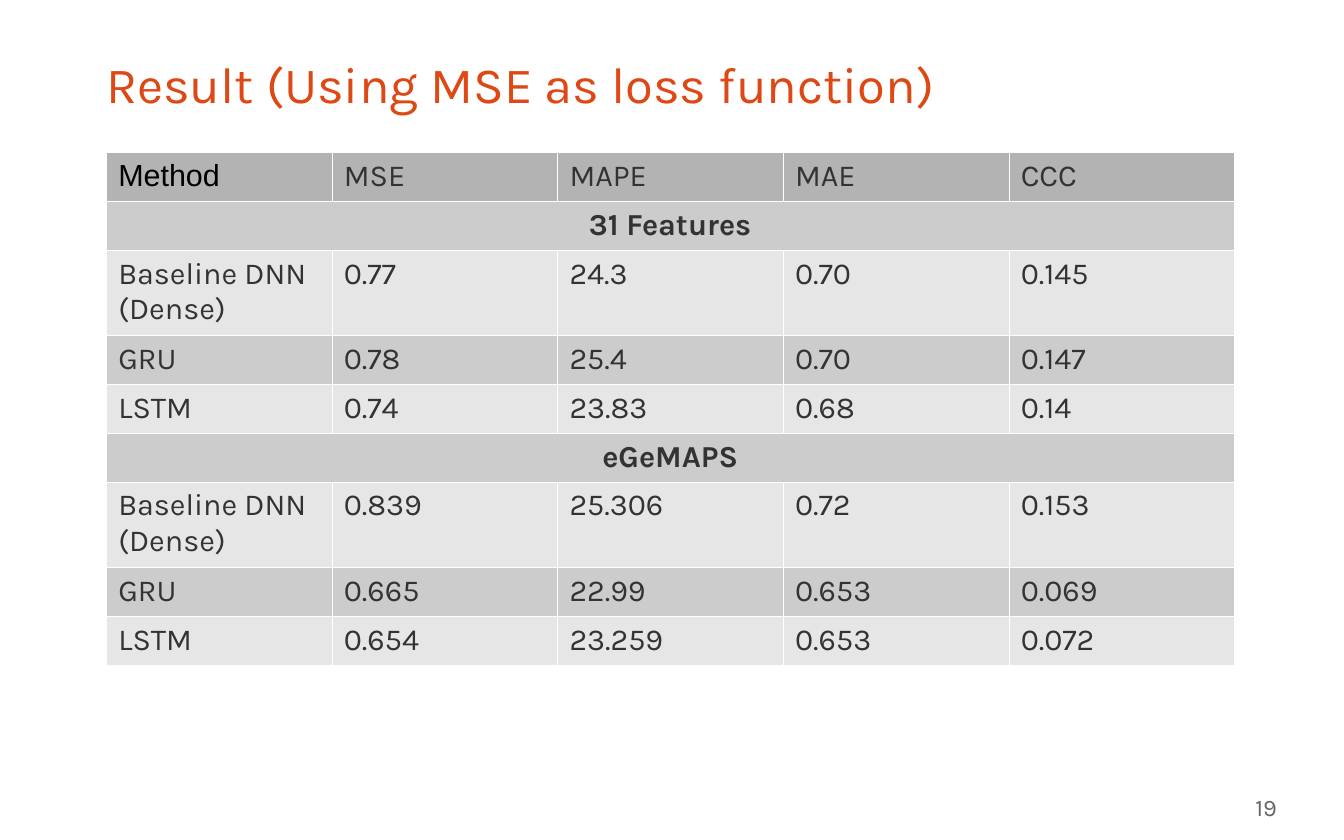
from lxml import etree
from pptx import Presentation
from pptx.dml.color import RGBColor
from pptx.enum import text
from pptx.oxml import ns
from pptx.util import Inches, Pt


def style(paragraph, size, color, font="Karla", bold=False, align=text.PP_ALIGN.LEFT):
    paragraph.alignment = align
    for run in paragraph.runs:
        run.font.size = Pt(size)
        run.font.name = font
        run.font.bold = bold
        run.font.color.rgb = RGBColor.from_string(color)


def add_label(words, left, top, width, height, anchor):
    frame = slide.shapes.add_textbox(
        Inches(left), Inches(top), Inches(width), Inches(height)).text_frame
    frame.word_wrap = True
    frame.vertical_anchor = anchor
    frame.margin_left = frame.margin_right = frame.margin_top = frame.margin_bottom = 0
    frame.text = words
    return frame.paragraphs[0]


prs = Presentation()
prs.slide_width, prs.slide_height = Inches(11.02), Inches(6.89)
slide = prs.slides.add_slide(prs.slide_layouts[6])

# Title
title = add_label("Result (Using MSE as loss function)", 0.87, 0.33, 9.25, 0.7,
                  text.MSO_ANCHOR.MIDDLE)
style(title, 30, "DD4814")

# Results: a row with a single entry is a section heading
results = [
    ["Method", "MSE", "MAPE", "MAE", "CCC"],
    ["31 Features"],
    ["Baseline DNN (Dense)", "0.77", "24.3", "0.70", "0.145"],
    ["GRU", "0.78", "25.4", "0.70", "0.147"],
    ["LSTM", "0.74", "23.83", "0.68", "0.14"],
    ["eGeMAPS"],
    ["Baseline DNN\n(Dense)", "0.839", "25.306", "0.72", "0.153"],
    ["GRU", "0.665", "22.99", "0.653", "0.069"],
    ["LSTM", "0.654", "23.259", "0.653", "0.072"],
]
columns = len(results[0])
table = slide.shapes.add_table(len(results), columns, Inches(0.87), Inches(1.25),
                               Inches(9.25), Inches(4)).table
for column in table.columns:
    column.width = Inches(1.85)

for r, entries in enumerate(results):
    table.rows[r].height = Inches(0.66 if entries[0].startswith("Baseline") else 0.38)
    section = len(entries) == 1
    if section:
        table.cell(r, 0).merge(table.cell(r, columns - 1))
    shade = "B3B3B3" if r == 0 else "CCCCCC" if r % 2 else "E6E6E6"

    for c in range(columns):
        cell = table.cell(r, c)
        # Thin white borders
        for side in ("lnL", "lnR", "lnT", "lnB"):
            border = etree.SubElement(cell._tc.get_or_add_tcPr(), ns.qn(f"a:{side}"),
                                      w=str(Pt(0.06)))
            border_fill = etree.SubElement(border, ns.qn("a:solidFill"))
            etree.SubElement(border_fill, ns.qn("a:srgbClr"), val="FFFFFF")
        cell.fill.solid()
        cell.fill.fore_color.rgb = RGBColor.from_string(shade)

    for c, entry in enumerate(entries):
        frame = table.cell(r, c).text_frame
        frame.text = entry
        for paragraph in frame.paragraphs:
            if r == c == 0:
                style(paragraph, 18, "000000", font="Arial")
            else:
                style(paragraph, 18, "333333", bold=section,
                      align=text.PP_ALIGN.CENTER if section else text.PP_ALIGN.LEFT)

# Page number
page_number = add_label("19", 7.9, 6.5, 2.57, 0.26, text.MSO_ANCHOR.TOP)
style(page_number, 14, "666666", align=text.PP_ALIGN.RIGHT)

prs.save("out.pptx")
